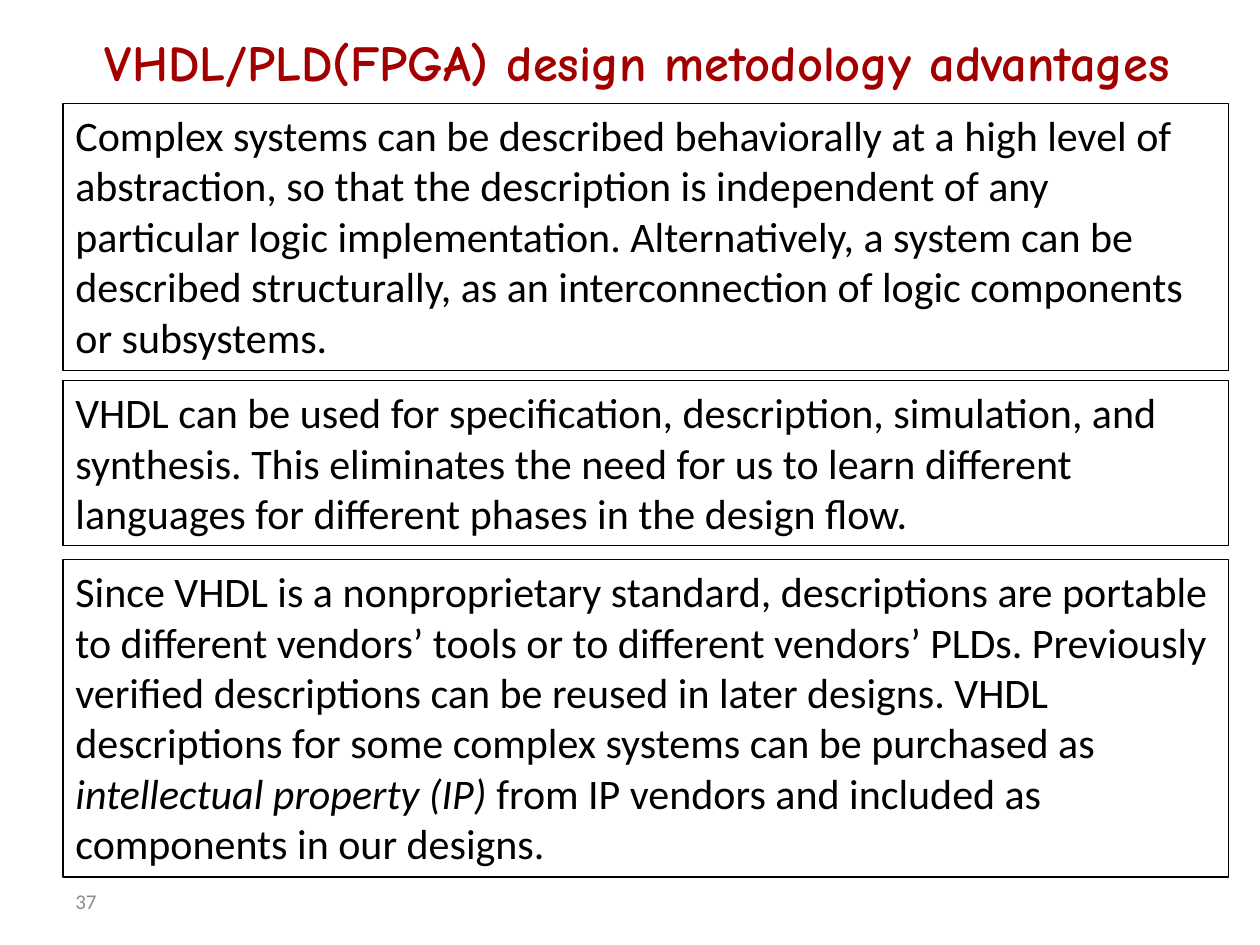
from dataclasses import dataclass

import pptx
import pptx.dml.color
import pptx.enum.shapes
import pptx.enum.text
import pptx.util

Inches = pptx.util.Inches
Align = pptx.enum.text.PP_ALIGN
Anchor = pptx.enum.text.MSO_ANCHOR


@dataclass
class Span:
    text: str
    italic: bool = False


@dataclass
class Statement:
    top: float
    height: float
    spans: list[Span]


@dataclass
class Label:
    text: str
    left: float
    top: float
    width: float
    height: float
    size: float
    font: str
    color: str
    bold: bool
    align: Align


STATEMENTS = [
    Statement(0.82, 2.12, [Span(
        "Complex systems can be described behaviorally at a high level of "
        "abstraction, so that the description is independent of any particular "
        "logic implementation. Alternatively, a system can be described "
        "structurally, as an interconnection of logic components or subsystems."
    )]),
    Statement(3.02, 1.31, [Span(
        "VHDL can be used for specification, description, simulation, and "
        "synthesis. This eliminates the need for us to learn different "
        "languages for different phases in the design flow."
    )]),
    Statement(4.44, 2.52, [
        Span(
            "Since VHDL is a nonproprietary standard, descriptions are portable "
            "to different vendors’ tools or to different vendors’ PLDs. "
            "Previously verified descriptions can be reused in later designs. "
            "VHDL descriptions for some complex systems can be purchased as "
        ),
        Span("intellectual property (IP) ", italic=True),
        Span("from IP vendors and included as components in our designs."),
    ]),
]

LABELS = [
    Label("37", 0.5, 6.95, 2.33, 0.4, 12, "Calibri", "8C8C8C", False, Align.LEFT),
    Label("VHDL/PLD(FPGA) design metodology advantages", 0.21, 0.14, 9.7, 0.7,
          28.8, "Comic Neue", "A20000", True, Align.CENTER),
]


def rgb(color: str) -> pptx.dml.color.RGBColor:
    return pptx.dml.color.RGBColor.from_string(color)


def style_font(font, name: str, size: float, color: str) -> None:
    font.name = name
    font.size = pptx.util.Pt(size)
    font.color.rgb = rgb(color)


def draw_label(page, label: Label) -> None:
    box = page.shapes.add_textbox(
        Inches(label.left), Inches(label.top), Inches(label.width), Inches(label.height)
    )
    frame = box.text_frame
    frame.word_wrap = True
    frame.vertical_anchor = Anchor.MIDDLE
    frame.text = label.text
    para = frame.paragraphs[0]
    para.alignment = label.align
    font = para.runs[0].font
    style_font(font, label.font, label.size, label.color)
    font.bold = label.bold


def draw_statement(page, statement: Statement) -> None:
    box = page.shapes.add_shape(
        pptx.enum.shapes.MSO_SHAPE.RECTANGLE,
        Inches(0.5), Inches(statement.top), Inches(9.25), Inches(statement.height),
    )
    box.shadow.inherit = False
    box.fill.background()
    box.line.color.rgb = rgb("000000")
    box.line.width = pptx.util.Pt(0.75)
    frame = box.text_frame
    frame.word_wrap = True
    frame.auto_size = pptx.enum.text.MSO_AUTO_SIZE.SHAPE_TO_FIT_TEXT
    frame.vertical_anchor = Anchor.TOP
    para = frame.paragraphs[0]
    para.alignment = Align.LEFT
    for span in statement.spans:
        run = para.add_run()
        run.text = span.text
        style_font(run.font, "Calibri", 24, "000000")
        run.font.italic = span.italic


def main() -> None:
    deck = pptx.Presentation()
    deck.slide_width = Inches(10)
    deck.slide_height = Inches(7.5)
    page = deck.slides.add_slide(deck.slide_layouts[6])
    for label in LABELS:
        draw_label(page, label)
    for statement in STATEMENTS:
        draw_statement(page, statement)
    deck.save("out.pptx")


if __name__ == "__main__":
    main()
